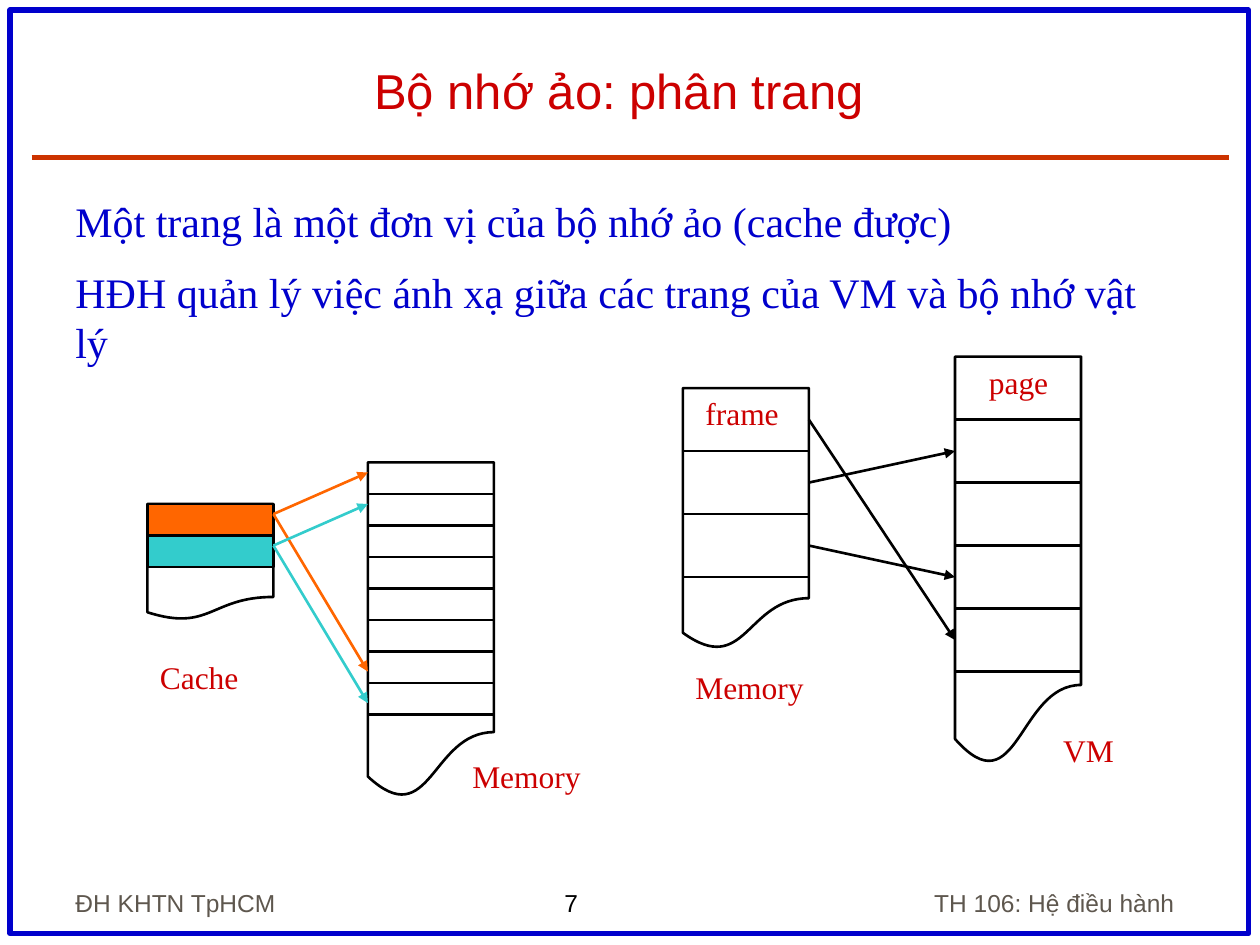
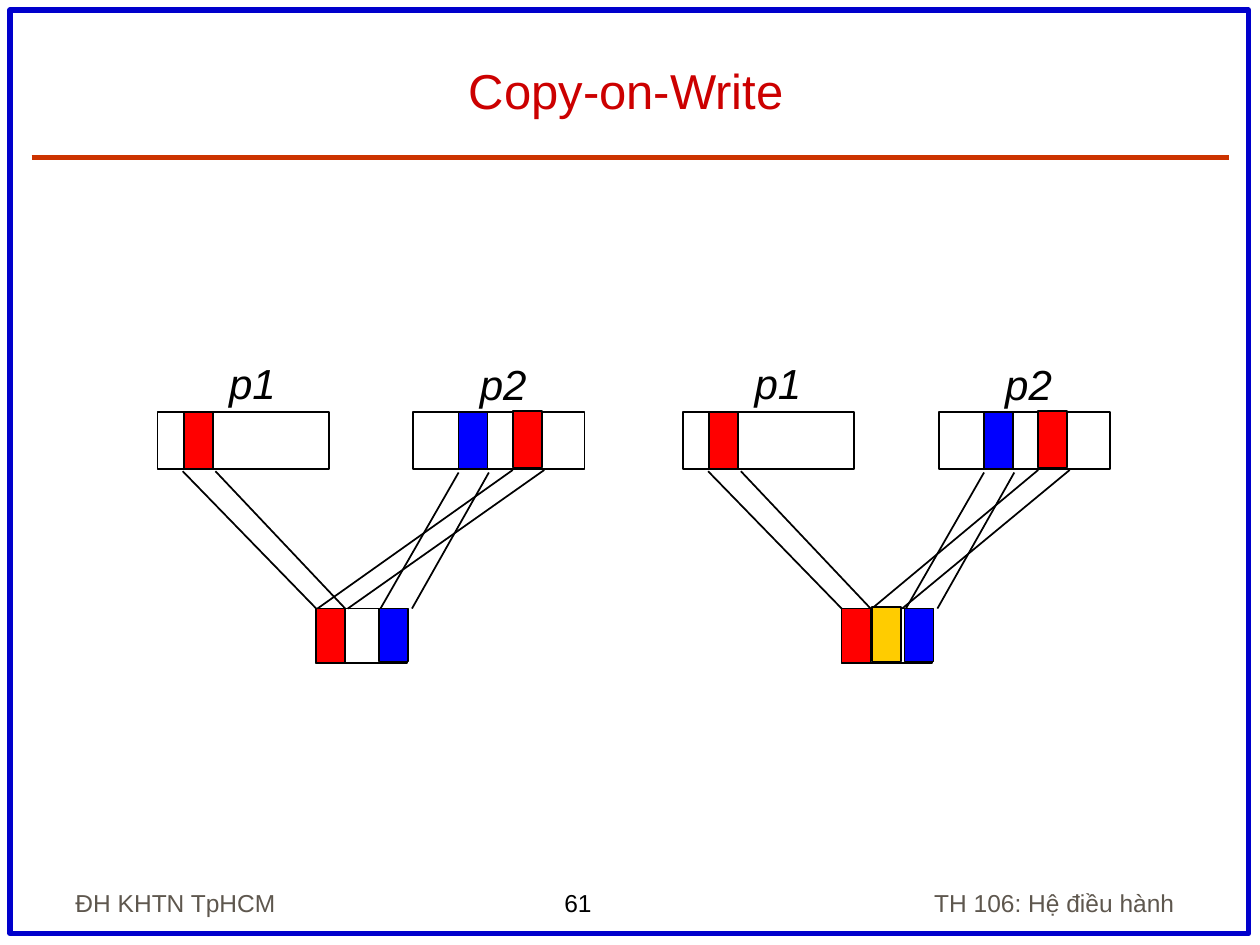
from pptx import Presentation
from pptx import util as u
from pptx.dml.color import RGBColor
from pptx.enum import shapes, text
from pptx.oxml.ns import qn
from lxml import etree

BLACK = RGBColor(0x00, 0x00, 0x00)
WHITE = RGBColor(0xFF, 0xFF, 0xFF)
FRAME_BLUE = RGBColor(0x00, 0x00, 0xCC)
RULE_RED = RGBColor(0xCC, 0x33, 0x00)
TITLE_RED = RGBColor(0xCC, 0x00, 0x00)
FOOTER_GRAY = RGBColor(0x5E, 0x57, 0x4E)
ORANGE = RGBColor(0xFF, 0x66, 0x00)
TEAL = RGBColor(0x33, 0xCC, 0xCC)
RED = RGBColor(0xFF, 0x00, 0x00)
BLUE = RGBColor(0x00, 0x00, 0xFF)
GOLD = RGBColor(0xFF, 0xCC, 0x00)

SANS, SERIF = "Arial", "Times New Roman"
RECT = shapes.MSO_SHAPE.RECTANGLE
DOCUMENT = shapes.MSO_SHAPE.FLOWCHART_DOCUMENT
PANEL_STEP = 4.17


# Elements
def write(frame, *lines, size=18, font=SERIF, color=TITLE_RED, italic=False,
          align=text.PP_ALIGN.LEFT, anchor=text.MSO_ANCHOR.TOP, gap=0, wrap=False):
    """Fill a text frame with one paragraph per line."""
    frame.auto_size = text.MSO_AUTO_SIZE.NONE
    frame.word_wrap = wrap
    frame.vertical_anchor = anchor
    for i, line in enumerate(lines):
        paragraph = frame.add_paragraph() if i else frame.paragraphs[0]
        paragraph.alignment = align
        if i:
            paragraph.space_before = u.Pt(gap)
        run = paragraph.add_run()
        run.text = line
        run.font.size, run.font.name = u.Pt(size), font
        run.font.italic = italic
        run.font.color.rgb = color


def add_text(slide, left, top, width, height, *lines, **style):
    box = slide.shapes.add_textbox(*map(u.Inches, (left, top, width, height)))
    write(box.text_frame, *lines, **style)


def add_block(slide, left, top, width, height, fill=None, line=BLACK,
              weight=1.5, kind=RECT):
    block = slide.shapes.add_shape(kind, *map(u.Inches, (left, top, width, height)))
    block.shadow.inherit = False
    if fill is None:
        block.fill.background()
    else:
        block.fill.solid()
        block.fill.fore_color.rgb = fill
    block.line.color.rgb = line
    block.line.width = u.Pt(weight)


def add_line(slide, start, end, color=BLACK, weight=1.5, arrow=False):
    line = slide.shapes.add_connector(
        shapes.MSO_CONNECTOR.STRAIGHT, *map(u.Inches, (*start, *end)))
    line.line.color.rgb = color
    line.line.width = u.Pt(weight)
    if arrow:
        etree.SubElement(line.line._get_or_add_ln(), qn("a:tailEnd"), type="triangle")
    etree.SubElement(line._element.spPr, qn("a:effectLst"))


def add_store(slide, left, top, height, cell, cells):
    """Torn-off memory column, divided below each of its cells."""
    add_block(slide, left, top, 1, height, kind=DOCUMENT)
    for i in range(1, cells + 1):
        y = top + i * cell
        add_line(slide, (left, y), (left + 1, y))


def new_slide(deck, title, number):
    """Slide with the shared frame, rule, footers and title."""
    slide = deck.slides.add_slide(deck.slide_layouts[5])
    add_block(slide, 0.08, 0.08, 9.83, 7.33, line=FRAME_BLUE, weight=3)
    add_line(slide, (0.25, 1.25), (9.75, 1.25), RULE_RED, 3)
    add_text(slide, 4.38, 7, 1.09, 0.34, number, size=14, font=SANS,
             color=BLACK, wrap=True)
    footer = dict(size=14, font=SANS, color=FOOTER_GRAY,
                  anchor=text.MSO_ANCHOR.BOTTOM, wrap=True)
    add_text(slide, 0.5, 6.83, 2.08, 0.5, "ĐH KHTN TpHCM", **footer)
    add_text(slide, 6.67, 6.83, 2.75, 0.5, "TH 106: Hệ điều hành",
             align=text.PP_ALIGN.RIGHT, **footer)
    heading = slide.shapes.title
    heading.left, heading.top, heading.width, heading.height = map(
        u.Inches, (0.44, 0.25, 9.06, 0.75))
    write(heading.text_frame, title, size=28, font=SANS, wrap=True,
          align=text.PP_ALIGN.CENTER, anchor=text.MSO_ANCHOR.BOTTOM)
    return slide


# Slides
def paging_slide(deck):
    slide = new_slide(deck, "Bộ nhớ ảo: phân trang\t", "7")
    add_text(slide, 0.5, 1.5, 8.94, 5.13,
             "Một trang là một đơn vị của bộ nhớ ảo (cache được)",
             "HĐH quản lý việc ánh xạ giữa các trang của VM và bộ nhớ vật lý",
             size=24, color=FRAME_BLUE, gap=12, wrap=True)

    # Cache lines and the memory blocks they may hold
    add_store(slide, 1.17, 4, 0.92, 0.25, 2)
    add_store(slide, 2.92, 3.67, 2.67, 0.25, 8)
    for i, color in enumerate((ORANGE, TEAL)):
        shift = i * 0.25
        add_block(slide, 1.17, 4 + shift, 1, 0.25, color)
        for target in (3.75, 5.33):
            add_line(slide, (2.17, 4.08 + shift), (2.92, target + shift),
                     color, arrow=True)

    # Memory frames mapped to virtual pages
    add_store(slide, 5.42, 3.08, 2.08, 0.5, 3)
    add_store(slide, 7.58, 2.83, 3.25, 0.5, 5)
    for i, page_y in enumerate((5.08, 3.58, 4.58)):
        add_line(slide, (6.42, 3.33 + i * 0.5), (7.58, page_y), arrow=True)

    for label, left, top, width in (
            ("Cache", 1.17, 5.17, 0.82), ("Memory", 3.65, 5.96, 1.06),
            ("Memory", 5.42, 5.25, 1.06), ("VM", 8.34, 5.75, 0.6),
            ("frame", 5.5, 3.08, 0.78), ("page", 7.75, 2.83, 0.67)):
        add_text(slide, left, top, width, 0.4, label)


def sharing_panel(slide, x, p2_target, copied):
    """Two processes above the physical pages they map."""
    def block(left, top, width, height, fill):
        add_block(slide, x + left, top, width, height, fill, weight=1)

    # Address spaces and physical memory
    for left in (1.25, 3.28):
        block(left, 3.27, 1.36, 0.45, WHITE)
    block(2.51, 4.83, 0.72, 0.43, WHITE)

    # Pages in use
    for left, top, height, fill in (
            (1.46, 3.27, 0.45, RED), (2.51, 4.83, 0.43, RED),
            (3.64, 3.27, 0.45, BLUE), (3.01, 4.83, 0.42, BLUE),
            (4.07, 3.26, 0.45, RED)):
        block(left, top, 0.23, height, fill)

    # Mappings: both edges of a virtual page to its physical page
    for upper, y, lower in (
            ((1.45, 1.71), 3.74, (2.51, 2.74)),
            ((3.64, 3.88), 3.75, (3.02, 3.27)),
            ((4.07, 4.32), 3.73, (p2_target, p2_target + 0.24))):
        for start, end in zip(upper, lower):
            add_line(slide, (x + start, y), (x + end, 4.83), weight=1)

    for label, left, top in (("p1", 1.72, 2.79), ("p2", 3.71, 2.8)):
        add_text(slide, x + left, top, 0.57, 0.5, label, size=24, font=SANS,
                 color=BLACK, italic=True)
    if copied:
        block(2.75, 4.82, 0.23, 0.43, GOLD)


def copy_on_write_slide(deck):
    slide = new_slide(deck, "Copy-on-Write", "61")
    sharing_panel(slide, 0, 2.52, copied=False)
    sharing_panel(slide, PANEL_STEP, 2.75, copied=True)


def main():
    deck = Presentation()
    deck.slide_width, deck.slide_height = u.Inches(10), u.Inches(7.5)
    paging_slide(deck)
    copy_on_write_slide(deck)
    deck.save("out.pptx")


if __name__ == "__main__":
    main()
